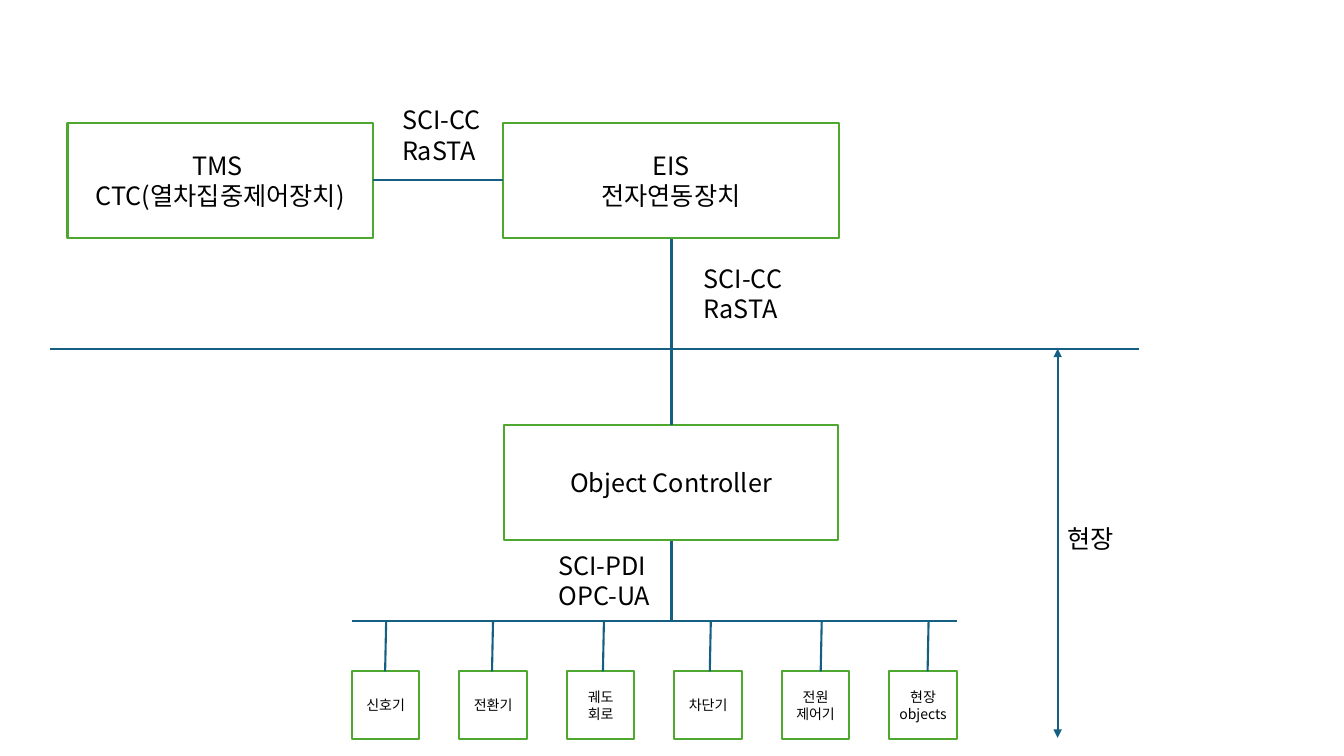
from pptx import Presentation
from pptx.dml.color import RGBColor
from pptx.enum.shapes import MSO_CONNECTOR, MSO_SHAPE
from pptx.enum.text import MSO_ANCHOR, MSO_AUTO_SIZE, PP_ALIGN
from pptx.oxml.ns import qn
from pptx.util import Inches, Pt
from lxml.etree import SubElement

FONT = "Noto Sans CJK KR"
COLORS = {"line": "156082", "border": "4EA72E", "fill": "FFFFFF", "text": "000000"}

# Field devices: label and x of the drop line from the bus
DEVICES = [
    ("신호기", 3.83),
    ("전환기", 4.89),
    ("궤도\n회로", 5.99),
    ("차단기", 7.05),
    ("전원\n제어기", 8.15),
    ("현장\nobjects", 9.21),
]
DEVICE_SIZE, DEVICE_TOP = 0.67, 6.66
BUS_LEFT, BUS_RIGHT, BUS_Y = 3.49, 9.49, 6.16
TRUNK_X, FIELD_X, BOUNDARY_Y = 6.66, 10.49, 3.46


def color(name):
    return RGBColor.from_string(COLORS[name])


def set_text(text_frame, text, size, alignment):
    text_frame.text = text
    text_frame.word_wrap = True
    for paragraph in text_frame.paragraphs:
        paragraph.alignment = alignment
        for run in paragraph.runs:
            run.font.size = Pt(size)
            run.font.name = FONT
            run.font.color.rgb = color("text")
            SubElement(run.font._element, qn("a:ea"), typeface=FONT)


def add_box(slide, text, left, top, width, height, size=18):
    shape = slide.shapes.add_shape(
        MSO_SHAPE.RECTANGLE, Inches(left), Inches(top), Inches(width), Inches(height))
    shape.shadow.inherit = False
    shape.fill.solid()
    shape.fill.fore_color.rgb = color("fill")
    shape.line.color.rgb = color("border")
    shape.line.width = Pt(1.5)
    shape.text_frame.vertical_anchor = MSO_ANCHOR.MIDDLE
    set_text(shape.text_frame, text, size, PP_ALIGN.CENTER)
    return shape


def add_label(slide, text, left, top, width, height):
    label = slide.shapes.add_textbox(
        Inches(left), Inches(top), Inches(width), Inches(height))
    set_text(label.text_frame, text, 18, PP_ALIGN.LEFT)
    label.text_frame.auto_size = MSO_AUTO_SIZE.SHAPE_TO_FIT_TEXT


def add_line(slide, x1, y1, x2, y2, arrows=False):
    connector = slide.shapes.add_connector(
        MSO_CONNECTOR.STRAIGHT, Inches(x1), Inches(y1), Inches(x2), Inches(y2))
    connector.line.color.rgb = color("line")
    connector.line.width = Pt(1.5)
    if arrows:
        outline = connector.line._get_or_add_ln()
        for end in ("a:headEnd", "a:tailEnd"):
            SubElement(outline, qn(end), type="triangle")
    SubElement(connector._element.spPr, qn("a:effectLst"))


def add_devices(slide):
    pitch = (BUS_RIGHT - DEVICE_SIZE - BUS_LEFT) / (len(DEVICES) - 1)
    for index, (name, drop_x) in enumerate(DEVICES):
        box = add_box(slide, name, BUS_LEFT + index * pitch, DEVICE_TOP,
                      DEVICE_SIZE, DEVICE_SIZE, size=10)
        box.text_frame.margin_left = box.text_frame.margin_right = Inches(0.05)
        add_line(slide, drop_x, BUS_Y, drop_x - 0.01, DEVICE_TOP)


def main():
    presentation = Presentation()
    presentation.slide_width = Inches(13.33)
    presentation.slide_height = Inches(7.5)
    slide = presentation.slides.add_slide(presentation.slide_layouts[6])

    # Boundary between the control centre and the field
    add_line(slide, 0.5, BOUNDARY_Y, 11.3, BOUNDARY_Y)

    # Control systems
    add_box(slide, "TMS \nCTC(열차집중제어장치)", 0.67, 1.22, 3.03, 1.14)
    add_box(slide, "EIS\n전자연동장치", 4.99, 1.22, 3.33, 1.14)
    add_box(slide, "Object Controller", 5, 4.22, 3.31, 1.14)

    # Links between the systems and down to the device bus
    add_line(slide, 3.7, 1.79, 4.99, 1.79)
    add_line(slide, TRUNK_X, 2.37, TRUNK_X, 4.22)
    add_line(slide, TRUNK_X, 5.37, TRUNK_X, BUS_Y)
    add_line(slide, BUS_LEFT, BUS_Y, BUS_RIGHT, BUS_Y)
    add_devices(slide)

    # Extent of the field
    add_line(slide, FIELD_X, BOUNDARY_Y, FIELD_X, 7.32, arrows=True)
    add_label(slide, "현장", FIELD_X, 5.14, 0.88, 0.4)

    # Protocols on the links
    add_label(slide, "SCI-PDI\nOPC-UA", 5.44, 5.41, 1.44, 0.71)
    add_label(slide, "SCI-CC\nRaSTA", 6.88, 2.56, 1.1, 0.71)
    add_label(slide, "SCI-CC\nRaSTA", 3.89, 0.99, 1.1, 0.71)

    presentation.save("out.pptx")


if __name__ == "__main__":
    main()
